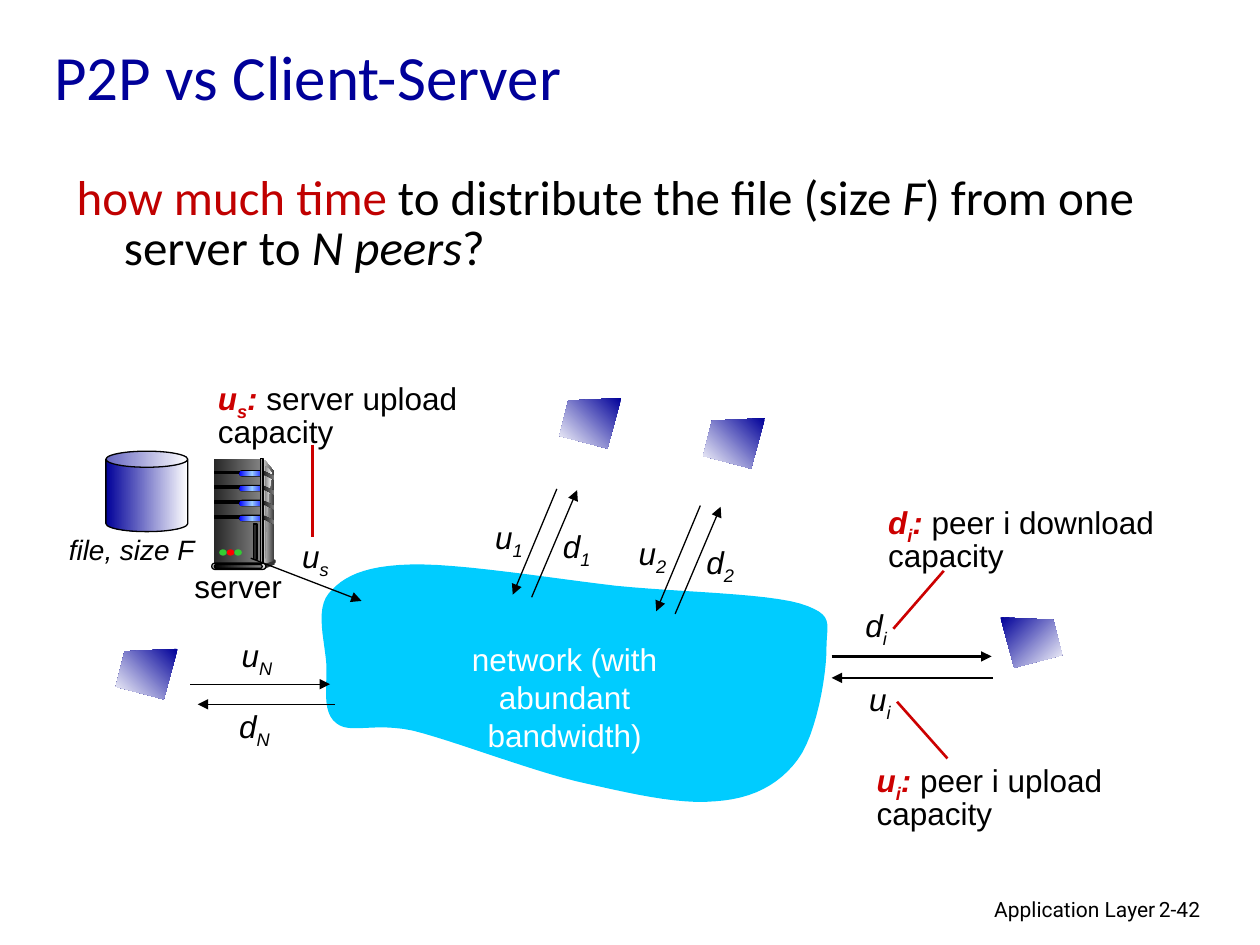
from copy import deepcopy
from dataclasses import dataclass

from pptx import Presentation
from pptx.dml.color import RGBColor
from pptx.enum.shapes import MSO_CONNECTOR, MSO_SHAPE
from pptx.enum.text import MSO_ANCHOR, PP_ALIGN
from pptx.oxml.ns import qn
from pptx.util import Pt
from lxml.etree import SubElement


@dataclass(frozen=True)
class Theme:
    navy: str = "000099"
    red: str = "C00000"
    note_red: str = "CC0000"
    black: str = "000000"
    white: str = "FFFFFF"
    cyan: str = "00CCFF"
    charcoal: str = "292929"
    dark: str = "333333"
    gray: str = "808080"
    silver: str = "DDDDDD"
    title_size: int = 36
    body_size: int = 28
    label_size: int = 18
    caption_size: int = 16
    footer_size: int = 12


THEME = Theme()
METAL = (THEME.charcoal, THEME.gray)
NAVY_FADE = (THEME.navy, THEME.white)
BUTTON = ("0000FF", "99CCFF", "0000FF")
ITALIC = {"italic": True}
SUBSCRIPT = {"italic": True, "baseline": -25000}
STRONG = {"italic": True, "bold": True, "color": THEME.note_red}


def points(*values):
    return [Pt(value) for value in values]


def apply_format(target, values):
    for name, value in values.items():
        setattr(target, name, value)


def add_runs(paragraph, runs, size, name="Arial", color=THEME.black):
    for text, style in runs:
        style = dict(style)
        run = paragraph.add_run()
        run.text = text
        run.font.color.rgb = RGBColor.from_string(style.pop("color", color))
        baseline = style.pop("baseline", None)
        apply_format(run.font, {"size": Pt(size), "name": name, **style})
        if baseline:
            run.font._element.set("baseline", str(baseline))


def add_text(shapes, box, lines, size, wrap=True, paragraph_format=None, **font):
    """Add a text box; each line is a list of (text, style) runs."""
    frame = shapes.add_textbox(*points(*box)).text_frame
    frame.word_wrap = wrap
    for index, runs in enumerate(lines):
        paragraph = frame.add_paragraph() if index else frame.paragraphs[0]
        apply_format(paragraph, paragraph_format or {})
        add_runs(paragraph, runs, size, **font)
    return frame


def paint(shape, colors, angle=0, outline=False):
    """Fill with one colour or an even gradient of several."""
    shape.shadow.inherit = False
    fill = shape.fill
    if isinstance(colors, str):
        fill.solid()
        fill.fore_color.rgb = RGBColor.from_string(colors)
    else:
        fill.gradient()
        fill.gradient_angle = angle
        stop_list = shape._element.spPr.find(qn("a:gradFill")).find(qn("a:gsLst"))
        while len(stop_list) < len(colors):
            stop_list.append(deepcopy(stop_list[0]))
        for index, (stop, color) in enumerate(zip(fill.gradient_stops, colors)):
            stop.position = index / (len(colors) - 1)
            stop.color.rgb = RGBColor.from_string(color)
    if outline:
        shape.line.width = Pt(0.75)
        shape.line.color.rgb = RGBColor.from_string(THEME.black)
    else:
        shape.line.fill.background()


def add_preset(shapes, kind, box, colors, outline=False, adjustment=None):
    shape = shapes.add_shape(kind, *points(*box))
    if adjustment is not None:
        shape.adjustments[0] = adjustment
    paint(shape, colors, outline=outline)


def add_polygon(shapes, corners, colors, angle=0):
    start, *others = [points(*corner) for corner in corners]
    builder = shapes.build_freeform(*start)
    builder.add_line_segments(others, close=True)
    paint(builder.convert_to_shape(), colors, angle)


def curve(start, segments, steps=12):
    """Corner points along a chain of cubic curves."""
    corners = [start]
    for x1, y1, x2, y2, x3, y3 in segments:
        x0, y0 = corners[-1]
        for step in range(1, steps + 1):
            t = step / steps
            weights = ((1 - t) ** 3, 3 * t * (1 - t) ** 2, 3 * t * t * (1 - t), t ** 3)
            corners.append(tuple(sum(weight * value for weight, value in zip(weights, axis))
                                 for axis in ((x0, x1, x2, x3), (y0, y1, y2, y3))))
    return corners


def add_line(shapes, ends, color=THEME.black, width=0.75, arrow=True):
    line = shapes.add_connector(MSO_CONNECTOR.STRAIGHT, *points(*ends))
    line.line.width = Pt(width)
    line.line.color.rgb = RGBColor.from_string(color)
    properties = line._element.spPr
    if arrow:
        SubElement(properties.find(qn("a:ln")), qn("a:tailEnd"), type="triangle")
    SubElement(properties, qn("a:effectLst"))


def add_rate(shapes, letter, index, left, top):
    add_text(shapes, (left, top, 48, 29), [[(letter, ITALIC), (index, SUBSCRIPT)]],
             THEME.label_size)


def add_note(shapes, letter, index, text, box):
    runs = [(letter, STRONG), (index, {**STRONG, "baseline": -25000}), (":", STRONG), (text, {})]
    add_text(shapes, box, [runs], THEME.label_size, paragraph_format={"line_spacing": 0.85})


def add_peer(shapes, left, top, mirrored=False):
    width = 35.3
    corners = [(width, 0), (5, 1.4), (0, 21.6), (27.4, 28.8)]
    add_polygon(shapes, [(left + (width - x if mirrored else x), top + y) for x, y in corners],
                NAVY_FADE, 315 if mirrored else 225)


def add_server(shapes):
    box, pill, oval = MSO_SHAPE.RECTANGLE, MSO_SHAPE.ROUNDED_RECTANGLE, MSO_SHAPE.OVAL
    # Case
    add_polygon(shapes, [(151.2, 262.8), (157, 270), (157, 320.4), (149.8, 322.6)],
                (THEME.silver, THEME.dark))
    add_preset(shapes, box, (122.4, 262.1, 26.6, 60.5), METAL)
    add_polygon(shapes, curve((151.2, 266.4), [(151.2, 266.4, 152.6, 266.4, 155.5, 270.7),
                                               (151.2, 293, 151.9, 321.8, 151.2, 321.1)]),
                (THEME.gray, "F8F8F8"))
    # Drive bays and the vents beside them
    for bay in range(4):
        top = 269.3 + 8.5 * bay
        add_preset(shapes, box, (122.6, top, 15.1, 1.4), THEME.black, True)
        add_preset(shapes, pill, (136.5, top - 0.7, 15.1, 3.8), THEME.black, adjustment=0.5)
        add_preset(shapes, pill, (136.8, top, 14.4, 2.9), BUTTON, adjustment=0.5)
        add_polygon(shapes, [(151, top), (157, top + 3), (157, top + 5), (151, top + 2)], METAL)
    add_preset(shapes, box, (149, 262.1, 1.4, 60.5), (THEME.dark, THEME.silver, THEME.dark), True)
    # Base
    add_preset(shapes, oval, (156.2, 319.7, 1.4, 2.2), THEME.dark)
    add_polygon(shapes, [(150.5, 322.6), (150.5, 325.4), (157, 322.6), (157, 320.4)], THEME.dark)
    add_preset(shapes, pill, (121, 321.8, 31, 3.6), THEME.silver, True, 0.5)
    add_preset(shapes, pill, (122.4, 322.6, 27.4, 2.2), (THEME.black, THEME.gray), True, 0.5)
    # Lights and slot
    for index, color in enumerate(("33CC33", "FF0000", "33CC33")):
        add_preset(shapes, oval, (125.3 + 4.3 * index, 313.9, 4.3, 3.6), color)
    add_preset(shapes, box, (144.7, 299.5, 2.2, 20.2), THEME.charcoal, True)


def add_title(slide):
    title = slide.shapes.title
    apply_format(title, dict(zip(("left", "top", "width", "height"),
                                 points(23.8, 12.2, 671, 61.2))))
    title.text_frame.vertical_anchor = MSO_ANCHOR.MIDDLE
    paragraph = title.text_frame.paragraphs[0]
    paragraph.alignment = PP_ALIGN.LEFT
    add_runs(paragraph, [("P2P vs Client-Server", {})], THEME.title_size, "Calibri", THEME.navy)


def add_question(shapes):
    runs = [("how much time", {"color": THEME.red}), (" to distribute the file (size ", {}),
            ("F", ITALIC), (") from one server to ", {}), ("N peers", ITALIC), ("?", {})]
    frame = add_text(shapes, (36.7, 96.5, 650, 70), [runs], THEME.body_size, name="Calibri",
                     paragraph_format={"line_spacing": 0.85})
    properties = frame.paragraphs[0]._p.get_or_add_pPr()
    indent = Pt(27)
    properties.set("marL", str(indent))
    properties.set("indent", str(-indent))


def add_network(shapes):
    outline = curve((234.7, 322.6), [
        (207.4, 323.3, 195.8, 329.8, 187.9, 339.1), (180, 348.5, 185.8, 367.2, 186.5, 379.4),
        (187.2, 391.7, 183.6, 406.8, 192.2, 413.3), (200.2, 419.8, 213.1, 412.6, 236.2, 417.6),
        (259.2, 423.4, 300.2, 439.2, 329, 446.4), (357.8, 452.9, 387.4, 460.1, 409, 457.9),
        (429.8, 456.5, 445, 448.6, 455.8, 434.2), (466.6, 419.8, 472.3, 385.9, 472.3, 370.8),
        (472.3, 355.7, 477.4, 351.4, 457.2, 344.9), (437, 339.1, 388.8, 338.4, 352.1, 334.8),
        (315.4, 330.5, 262.1, 321.8, 234.7, 322.6)])
    add_polygon(shapes, outline, THEME.cyan)
    add_text(shapes, (222.5, 362.2, 200.2, 50.4),
             [[("network (with abundant", {})], [("bandwidth)", {})]], THEME.label_size,
             wrap=False, color=THEME.white, paragraph_format={"alignment": PP_ALIGN.CENTER})


def main():
    presentation = Presentation()
    presentation.slide_width, presentation.slide_height = points(720, 540)
    slide = presentation.slides.add_slide(presentation.slide_layouts[5])
    shapes = slide.shapes
    centered = {"alignment": PP_ALIGN.CENTER}

    # Heading, question and footer
    add_title(slide)
    add_question(shapes)
    add_text(shapes, (439.2, 509, 228.2, 22), [[("Application Layer", {})]], THEME.footer_size,
             name="Roboto", paragraph_format={"alignment": PP_ALIGN.RIGHT})
    add_text(shapes, (655.2, 509, 53.3, 22), [[("2-42", {})]], THEME.footer_size, name="Roboto")

    # Network, file and server
    add_network(shapes)
    add_preset(shapes, MSO_SHAPE.CAN, (60.5, 257.8, 46.8, 46), NAVY_FADE, True, 0.2)
    add_text(shapes, (20.2, 301, 110.2, 26.6), [[("file, size F", ITALIC)]],
             THEME.caption_size, paragraph_format=centered)
    add_text(shapes, (90, 320.4, 92.2, 29), [[("server", {})]], THEME.label_size,
             paragraph_format=centered)
    add_server(shapes.add_group_shape().shapes)

    # Links of the server, peer N and peer i
    for ends, width in (((143.3, 319, 206.6, 343.4), 0.75), ((108.7, 391, 188.6, 391), 0.75),
                        ((191.5, 402.5, 113, 402.5), 0.75), ((475.2, 375.1, 566.6, 375.1), 1.5),
                        ((567.4, 387.4, 475.2, 387.4), 1.5)):
        add_line(shapes, ends, width=width)
    for rate in (("u", "s", 165.6, 303.1), ("u", "N", 131, 360), ("d", "N", 129.6, 400.3),
                 ("d", "i", 487.4, 342.7), ("u", "i", 489.6, 385.2)):
        add_rate(shapes, *rate)

    # Links of peers 1 and 2
    for index in range(2):
        x, y, number = 82 * index, 9.5 * index, str(index + 1)
        add_rate(shapes, "u", number, 275.8 + x, 292.3 + y)
        add_rate(shapes, "d", number, 314.6 + x, 297.4 + y)
        add_line(shapes, (318.2 + x, 279.4 + y, 293 + x, 339.8 + y))
        add_line(shapes, (303.8 + x, 341.3 + y, 329.8 + x, 280.1 + y))

    # Explanations and their pointers
    add_note(shapes, "u", "s", " server upload capacity", (117.4, 214.6, 158.4, 44))
    add_note(shapes, "u", "i", " peer i upload capacity", (493.9, 432.7, 203.8, 44))
    add_note(shapes, "d", "i", " peer i download capacity", (500.4, 285.1, 167, 44))
    for ends in ((178.6, 254.2, 178.6, 306.7), (539.3, 326.2, 510.5, 359.3),
                 (541.4, 433.4, 512.6, 401)):
        add_line(shapes, ends, THEME.note_red, 1.5, arrow=False)

    # Peers
    for left, top in ((66.2, 370.8), (319.7, 227.5), (401.8, 239)):
        add_peer(shapes, left, top)
    add_peer(shapes, 571.7, 352.8, mirrored=True)

    presentation.save("out.pptx")


if __name__ == "__main__":
    main()
